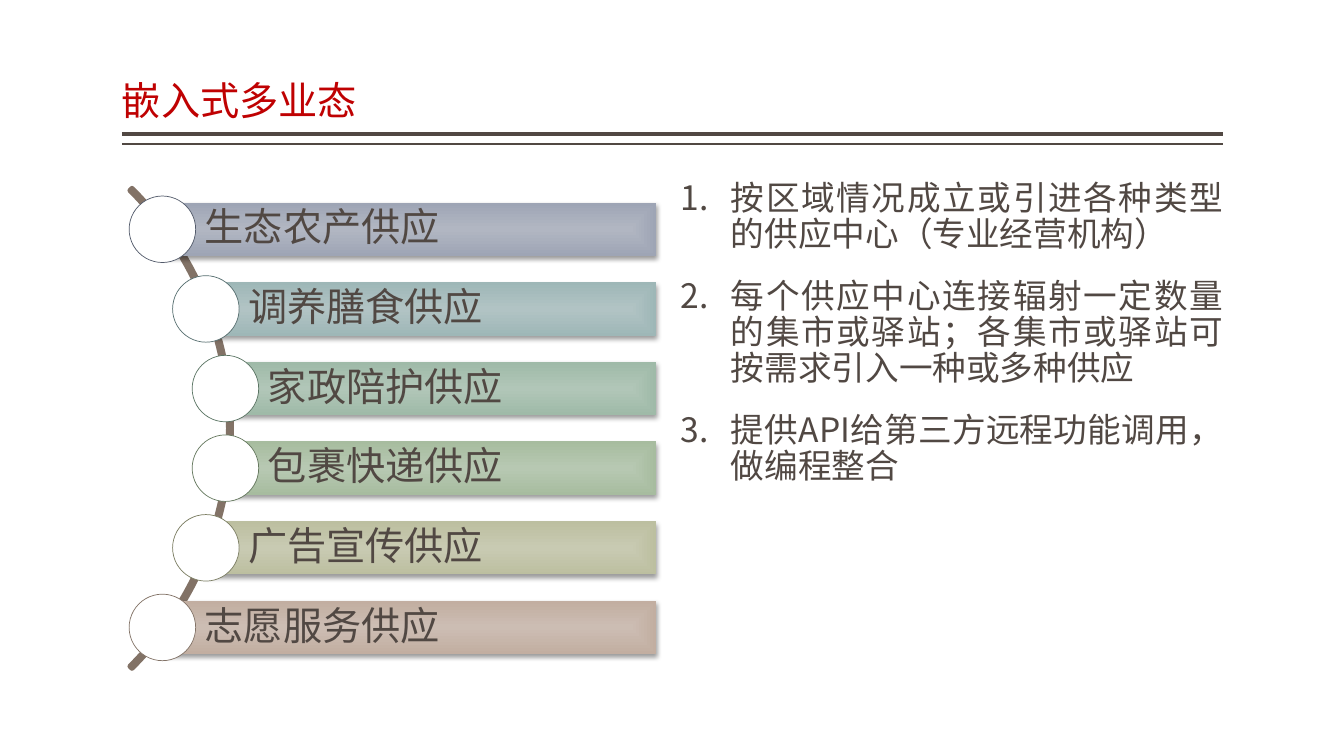
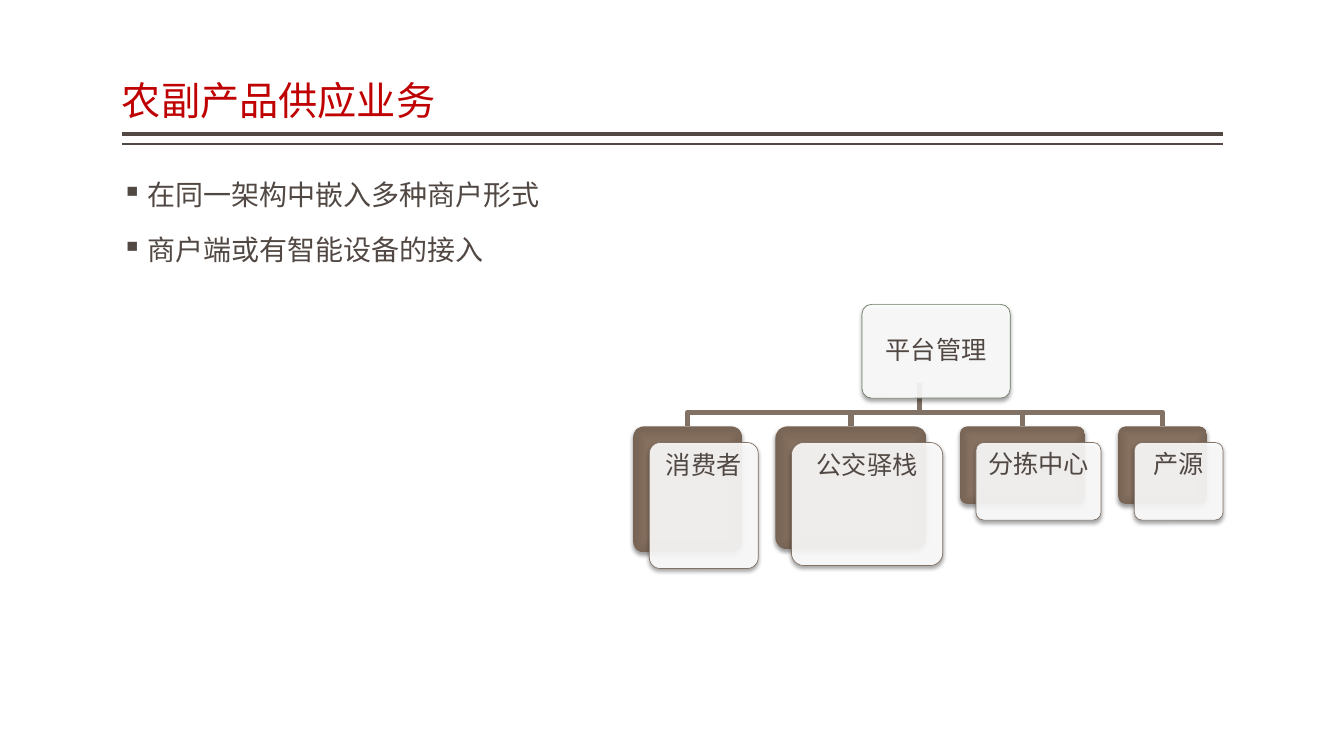
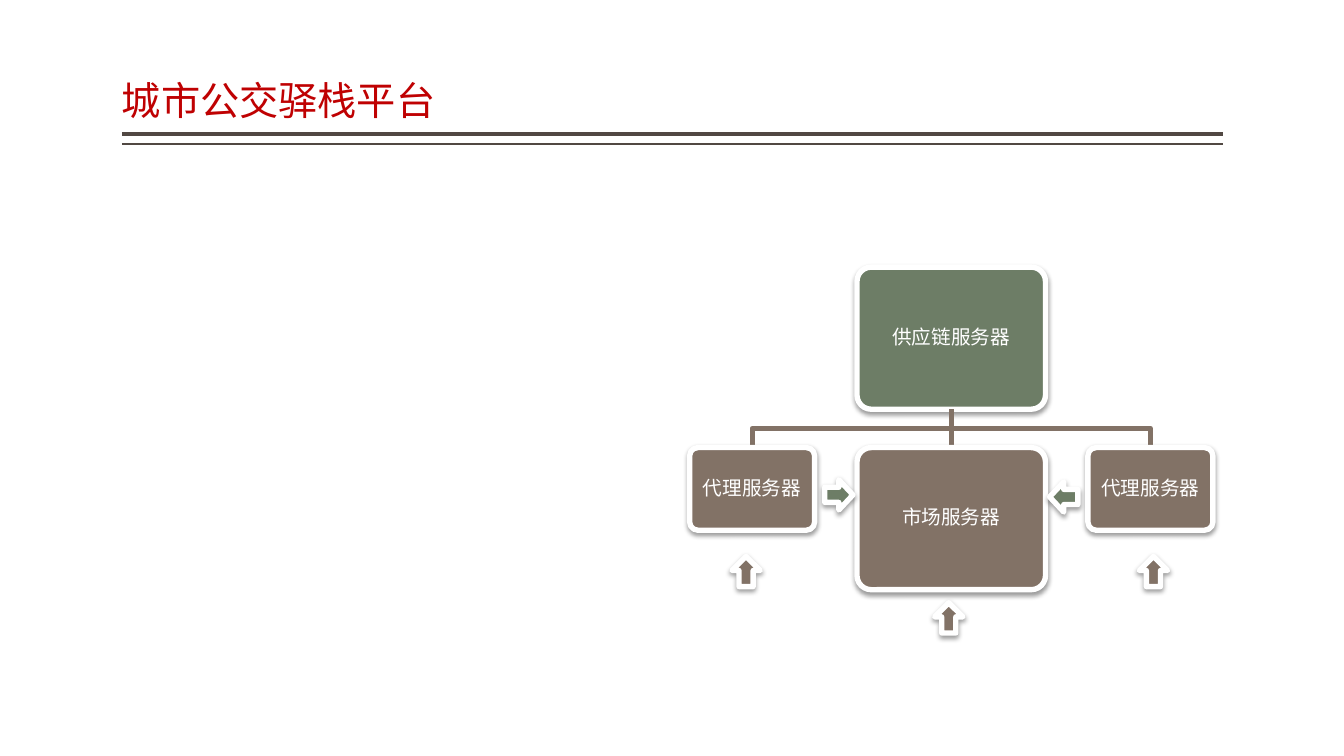
from itertools import accumulate
from math import sqrt

from lxml.etree import SubElement
from pptx import Presentation
from pptx.dml.color import RGBColor
from pptx.enum.lang import MSO_LANGUAGE_ID
from pptx.enum.shapes import MSO_CONNECTOR, MSO_SHAPE
from pptx.enum.text import MSO_ANCHOR, PP_ALIGN
from pptx.oxml.ns import qn
from pptx.util import Inches, Pt

RECT, ROUNDED, OVAL = MSO_SHAPE.RECTANGLE, MSO_SHAPE.ROUNDED_RECTANGLE, MSO_SHAPE.OVAL
ARC, RIGHT_ARROW, UP_ARROW = MSO_SHAPE.BLOCK_ARC, MSO_SHAPE.RIGHT_ARROW, MSO_SHAPE.UP_ARROW
STRAIGHT = MSO_CONNECTOR.STRAIGHT
TOP, MIDDLE, BOTTOM = MSO_ANCHOR.TOP, MSO_ANCHOR.MIDDLE, MSO_ANCHOR.BOTTOM
LEFT, CENTER, JUSTIFY = PP_ALIGN.LEFT, PP_ALIGN.CENTER, PP_ALIGN.JUSTIFY
CHINESE = MSO_LANGUAGE_ID.SIMPLIFIED_CHINESE

RED = RGBColor(0xBF, 0x01, 0x02)
INK = RGBColor(0x51, 0x48, 0x43)
BROWN = RGBColor(0x82, 0x72, 0x66)
GREEN = RGBColor(0x6D, 0x7D, 0x66)
WHITE = RGBColor(0xFF, 0xFF, 0xFF)
CARD_STOPS = [(0, RGBColor(0x87, 0x71, 0x61)), (71, RGBColor(0x86, 0x70, 0x60)),
              (100, RGBColor(0x77, 0x64, 0x55))]

SANS, ROBOTO = "Noto Sans CJK SC", "Roboto"
LINK_WIDTH, FRAME_WIDTH = 3.78, 3.82

# One-inch grid: every length below is in its columns and rows
CELL = Inches(1)
MARGIN, SPAN = 1.21, 10.92
BODY_TOP, BODY_HEIGHT = 1.75, 5


def draw(slide, kind, at, fill=None, line=None, width=0.5, blur=0, alpha=100):
    """Add a preset shape; a list of stops as fill gives a rectangular gradient."""
    shape = slide.shapes.add_shape(kind, *(int(n * CELL) for n in at))
    props = shape._element.spPr
    if fill is None:
        shape.fill.background()
    elif isinstance(fill, list):
        shape.fill.gradient()
        gradient = props.find(qn("a:gradFill"))
        gradient.clear()
        stops = SubElement(gradient, qn("a:gsLst"))
        for share, colour in fill:
            stop = SubElement(stops, qn("a:gs"), pos=str(share * 1000))
            SubElement(stop, qn("a:srgbClr"), val=str(colour))
        centre = SubElement(gradient, qn("a:path"), path="rect")
        SubElement(centre, qn("a:fillToRect"), dict.fromkeys("ltrb", "50000"))
    else:
        shape.fill.solid()
        shape.fill.fore_color.rgb = fill
        if alpha < 100:
            colour = props.find(qn("a:solidFill"))[0]
            SubElement(colour, qn("a:alpha"), val=str(alpha * 1000))
    if line is None:
        shape.line.fill.background()
    else:
        shape.line.color.rgb = line
        shape.line.width = Pt(width)
    shape.shadow.inherit = False
    if blur:
        cast = SubElement(props.find(qn("a:effectLst")), qn("a:outerShdw"),
                          blurRad=str(Pt(blur)), dist=str(Pt(2)), dir="5400000",
                          algn="ctr", rotWithShape="0")
        black = SubElement(cast, qn("a:srgbClr"), val="000000")
        SubElement(black, qn("a:alpha"), val="38000")
    if kind == ROUNDED:
        shape.adjustments[0] = 0.1
    return shape


def write(shape, texts, size, colour=INK, font=SANS, align=LEFT, anchor=TOP,
          insets=(0, 0.05, 0, 0.05), bullet=None, indent=0):
    """Fill a shape or text box with one paragraph per text."""
    frame = shape.text_frame
    frame.word_wrap, frame.vertical_anchor = True, anchor
    (frame.margin_left, frame.margin_top,
     frame.margin_right, frame.margin_bottom) = (Inches(n) for n in insets)
    for i, text in enumerate(texts):
        para = frame.add_paragraph() if i else frame.paragraphs[0]
        para.alignment, para.line_spacing = align, 0.9
        if bullet:
            para.space_before = Pt(18)
            props = para._p.get_or_add_pPr()
            props.set("marL", str(Inches(indent)))
            props.set("indent", str(-Inches(indent)))
            tag, key, value = bullet
            SubElement(props, qn(tag), {key: value})
        run = para.add_run()
        run.text = text
        run.font.size, run.font.name = Pt(size), font
        run.font.color.rgb = colour
        run.font.language_id = CHINESE
        SubElement(run._r.get_or_add_rPr(), qn("a:ea"), typeface=SANS)


deck = Presentation()
deck.slide_width, deck.slide_height = Inches(13.33), Inches(7.5)
blank = deck.slide_layouts[6]
services, farming, platform = slides = [deck.slides.add_slide(blank) for _ in range(3)]

# Server row of the platform diagram
servers = [("代理服务器", 1.24, 0.82), ("市场服务器", 1.87, 1.41), ("代理服务器", 1.24, 0.82)]
SERVER_TOP, SERVER_GAP = 4.44, 0.42
server_lefts = list(accumulate((w + SERVER_GAP for _, w, _ in servers[:-1]), initial=6.84))
server_centres = [x + w / 2 for x, (_, w, _) in zip(server_lefts, servers)]
hub = server_centres[1]

# Double rule under each title, and the straight stem of the platform diagram
lines = [(slide, MARGIN, y, MARGIN + SPAN, y, width, INK)
         for slide in slides for y, width in ((1.33, 3), (1.43, 1))]
lines.append((platform, hub, 4.06, hub, SERVER_TOP, LINK_WIDTH, BROWN))
for slide, *ends, width, colour in lines:
    rule = slide.shapes.add_connector(STRAIGHT, *(int(n * CELL) for n in ends))
    rule.line.color.rgb, rule.line.width = colour, Pt(width)
    SubElement(rule._element.spPr, qn("a:effectLst"))

# Titles and body text
for slide, title in zip(slides, ("嵌入式多业态", "农副产品供应业务", "城市公交驿栈平台")):
    heading = slide.shapes.add_textbox(*(int(n * CELL) for n in (MARGIN, 0.08, SPAN, 1.2)))
    write(heading, [title], 28, RED, anchor=BOTTOM)

NUMBERED = ("a:buAutoNum", "type", "arabicPeriod")
SQUARE = ("a:buChar", "char", "▪")
bodies = [
    (services, 6.75, 5.38, 24, SANS, JUSTIFY, NUMBERED, 0.5, [
        "按区域情况成立或引进各种类型的供应中心（专业经营机构）",
        "每个供应中心连接辐射一定数量的集市或驿站；各集市或驿站可按需求引入一种或多种供应",
        "提供API给第三方远程功能调用，做编程整合"]),
    (farming, MARGIN, 4.84, 20, ROBOTO, LEFT, SQUARE, 0.25, [
        "在同一架构中嵌入多种商户形式",
        "商户端或有智能设备的接入"]),
]
for slide, x, width, size, font, align, bullet, indent, points in bodies:
    body = slide.shapes.add_textbox(*(int(n * CELL) for n in (x, BODY_TOP, width, BODY_HEIGHT)))
    write(body, points, size, font=font, align=align, bullet=bullet, indent=indent)

# Services strung along an arc
ARC_X, ARC_Y, ARC_SIZE = -1.07, 4.25, 6.73
arc = draw(services, ARC, (ARC_X - ARC_SIZE / 2, ARC_Y - ARC_SIZE / 2, ARC_SIZE, ARC_SIZE),
           line=BROWN, width=LINK_WIDTH)
for i, value in enumerate((189, 27, 0.004)):
    arc.adjustments[i] = value

BAR_RIGHT, BAR_HEIGHT, BAR_STEP, DOT, DOT_RADIUS = 6.51, 0.53, 0.79, 0.66, 3.33
supplies = [
    ("生态农产供应", "B1B6C2", "9EA5B5", "525A6A"),
    ("调养膳食供应", "B1C3C4", "9EB7B7", "566E6F"),
    ("家政陪护供应", "B1C6B8", "9FBAA8", "5A7463"),
    ("包裹快递供应", "B7C8B2", "A7BC9F", "65785E"),
    ("广告宣传供应", "C8CAB2", "BCBFA0", "7B7D62"),
    ("志愿服务供应", "CCBDB3", "C2AEA1", "827266"),
]
for i, (supply, *tones) in enumerate(supplies):
    inner, outer, rim = (RGBColor.from_string(tone) for tone in tones)
    rise = (i - (len(supplies) - 1) / 2) * BAR_STEP
    x, y = ARC_X + sqrt(DOT_RADIUS ** 2 - rise ** 2), ARC_Y + rise
    bar = draw(services, RECT, (x, y - BAR_HEIGHT / 2, BAR_RIGHT - x, BAR_HEIGHT),
               [(0, inner), (100, outer)], blur=3.5)
    write(bar, [supply], 28, anchor=MIDDLE, insets=(0.42, 0.08, 0.08, 0.08))
    draw(services, OVAL, (x - DOT / 2, y - DOT / 2, DOT, DOT), WHITE, rim)

# Head of the platform diagram
supply_chain = draw(platform, ROUNDED, (server_lefts[1], 2.65, 1.87, 1.41),
                    GREEN, WHITE, FRAME_WIDTH, 3.5)
write(supply_chain, ["供应链服务器"], 14, WHITE, align=CENTER, anchor=MIDDLE, insets=[0.06] * 4)

# Cards of the farming diagram: each front card covers a shifted back card
cards = [("消费者", 1.08, 1.25), ("公交驿栈", 1.5, 1.22), ("分拣中心", 1.24, 0.77), ("产源", 0.88, 0.77)]
CARD_TOP, CARD_GAP, SHIFT = 4.23, 0.33, 0.16
card_lefts = list(accumulate((w + CARD_GAP for _, w, _ in cards[:-1]), initial=6.28))
card_centres = [x + w / 2 for x, (_, w, _) in zip(card_lefts, cards)]

# Elbow links of both diagrams
trees = [(farming, 9.12, 3.8, 4.09, CARD_TOP, card_centres[::-1]),
         (platform, hub, 4.06, 4.25, SERVER_TOP, server_centres[::2])]
for slide, trunk, start, bend, end, centres in trees:
    for x in centres:
        outline = slide.shapes.build_freeform(int(trunk * CELL), int(start * CELL))
        outline.add_line_segments([(int(a * CELL), int(b * CELL)) for a, b in
                                   ((trunk, bend), (x, bend), (x, end))], close=False)
        link = outline.convert_to_shape()
        link.fill.background()
        link.line.color.rgb, link.line.width = BROWN, Pt(LINK_WIDTH)
        link.shadow.inherit = False

# Farming diagram boxes
management = draw(farming, ROUNDED, (8.55, 3.02, 1.47, 0.93), WHITE, GREEN, blur=3.1, alpha=90)
write(management, ["平台管理"], 18, font=ROBOTO, align=CENTER, anchor=MIDDLE, insets=[0.07] * 4)
for x, (label, width, height) in zip(card_lefts, cards):
    draw(farming, ROUNDED, (x, CARD_TOP, width, height), CARD_STOPS, blur=3.1)
    front = draw(farming, ROUNDED, (x + SHIFT, CARD_TOP + SHIFT, width, height),
                 WHITE, BROWN, blur=3.1, alpha=90)
    write(front, [label], 18, font=ROBOTO, align=CENTER, insets=[0.07] * 4)

# Platform servers
for x, (label, width, height) in zip(server_lefts, servers):
    server = draw(platform, ROUNDED, (x, SERVER_TOP, width, height),
                  BROWN, WHITE, FRAME_WIDTH, 3.5)
    write(server, [label], 14, WHITE, align=CENTER, anchor=MIDDLE, insets=[0.06] * 4)

# Arrows between and below the servers
arrows = [(RIGHT_ARROW, 8.18, 4.76, 0, GREEN), (RIGHT_ARROW, 10.41, 4.78, 180, GREEN),
          (UP_ARROW, 7.26, 5.52, 0, BROWN), (UP_ARROW, 9.27, 5.98, 0, BROWN),
          (UP_ARROW, 11.3, 5.52, 0, BROWN)]
for kind, x, y, turn, colour in arrows:
    arrow = draw(platform, kind, (x, y, 0.28, 0.3), colour, WHITE, FRAME_WIDTH, 3.5)
    arrow.rotation = turn

deck.save("out.pptx")
